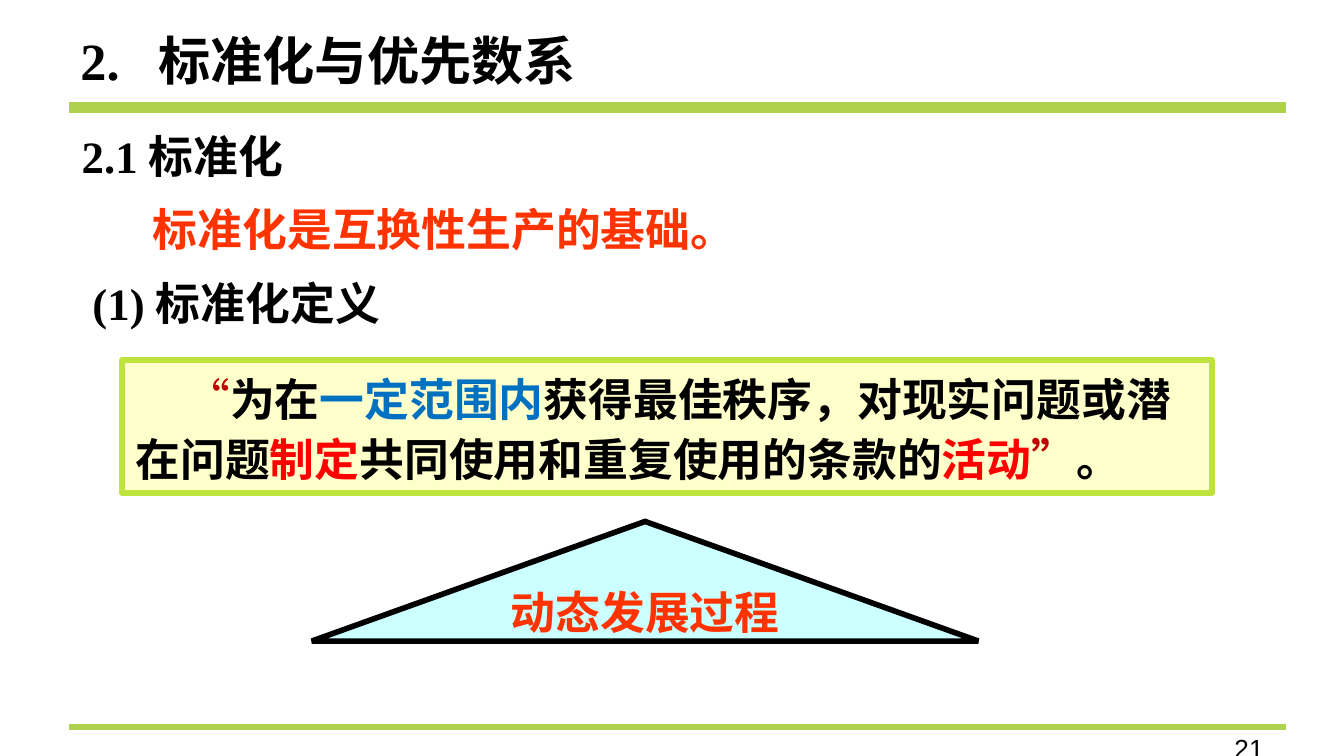
from dataclasses import dataclass

from lxml import etree
from pptx import Presentation
from pptx import util as u
from pptx.dml.color import RGBColor
from pptx.enum import shapes, text
from pptx.oxml.ns import qn

BLACK, GREEN, ORANGE, RED, DARK_RED, BLUE = (
    "000000", "AFD24E", "FF3300", "FF0000", "C00000", "0070C0")
SERIF = "Times New Roman"


@dataclass(frozen=True)
class Span:
    words: str
    color: str = BLACK
    bold: bool = True


@dataclass(frozen=True)
class Block:
    left: float
    top: float
    width: float
    height: float
    spans: tuple[Span, ...]
    size: int = 24
    font: str = SERIF
    align: text.PP_ALIGN = text.PP_ALIGN.LEFT
    anchor: text.MSO_ANCHOR = text.MSO_ANCHOR.TOP
    wrap: bool = True
    grow: bool = True
    indent: float = 0
    tab: float = 0
    spacing: float = 1.0
    preset: shapes.MSO_SHAPE | None = None
    fill: str = ""
    line: str = ""
    miter: bool = False


@dataclass(frozen=True)
class Rule:
    y: float
    weight: float


RULES = (Rule(0.8, 6), Rule(5.41, 3))

BLOCKS = (
    Block(7.91, 5.4, 1.59, 0.23, (Span("21", bold=False),), size=14,
          font="Arial", align=text.PP_ALIGN.RIGHT, grow=False),
    Block(0.5, 0.16, 5.75, 0.57, (Span("2.\t标准化与优先数系"),), size=28, tab=0.58),
    Block(0.51, 0.91, 4.4, 0.5, (Span("2.1 标准化"),)),
    Block(0.51, 1.45, 6.23, 0.5, (Span("标准化是互换性生产的基础。", ORANGE),),
          align=text.PP_ALIGN.JUSTIFY, indent=0.53),
    Block(0.59, 2, 8.03, 0.5, (Span("(1) 标准化定义"),), align=text.PP_ALIGN.JUSTIFY),
    Block(2.32, 3.88, 4.96, 0.89, (Span("动态发展过程", ORANGE),),
          align=text.PP_ALIGN.CENTER, anchor=text.MSO_ANCHOR.MIDDLE,
          wrap=False, grow=False, preset=shapes.MSO_SHAPE.ISOSCELES_TRIANGLE,
          fill="CCFFFF", line=BLACK, miter=True),
    Block(0.91, 2.68, 8.11, 0.99, (
        Span("“", DARK_RED, bold=False),
        Span("为在"),
        Span("一定范围内", BLUE),
        Span("获得最佳秩序，对现实问题或潜在问题"),
        Span("制定", RED),
        Span("共同使用和重复使用的条款的"),
        Span("活动", RED),
        Span("”", DARK_RED),
        Span("。"),
    ), indent=0.37, spacing=1.1, preset=shapes.MSO_SHAPE.RECTANGLE,
        fill="FFFFCC", line="BFE33D"),
)


def paint(color_format, color: str) -> None:
    """Give a font colour, fill or line its hex colour."""
    color_format.rgb = RGBColor.from_string(color)


def draw_rule(page, rule: Rule) -> None:
    """Draw a full-width green rule."""
    y = u.Inches(rule.y)
    connector = page.shapes.add_connector(
        shapes.MSO_CONNECTOR.STRAIGHT, u.Inches(0.51), y, u.Inches(9.57), y)
    paint(connector.line.color, GREEN)
    connector.line.width = u.Pt(rule.weight)
    etree.SubElement(connector._element.spPr, qn("a:effectLst"))


def add_box(page, block: Block):
    """Add the text box or filled shape that holds a block."""
    place = [u.Inches(n) for n in (block.left, block.top, block.width, block.height)]
    if block.preset is None:
        return page.shapes.add_textbox(*place)
    box = page.shapes.add_shape(block.preset, *place)
    box.shadow.inherit = False
    box.fill.solid()
    paint(box.fill.fore_color, block.fill)
    paint(box.line.color, block.line)
    box.line.width = u.Pt(3)
    if block.miter:
        outline = box._element.spPr.find(qn("a:ln"))
        etree.SubElement(outline, qn("a:miter"), lim="800000")
    return box


def draw_block(page, block: Block) -> None:
    """Draw a block with its paragraph of coloured spans."""
    frame = add_box(page, block).text_frame
    frame.word_wrap = block.wrap
    frame.vertical_anchor = block.anchor
    if block.grow:
        frame.auto_size = text.MSO_AUTO_SIZE.SHAPE_TO_FIT_TEXT
    para = frame.paragraphs[0]
    para.alignment = block.align
    para.line_spacing = block.spacing
    properties = para._p.get_or_add_pPr()
    if block.indent:
        properties.set("indent", str(u.Inches(block.indent)))
    if block.tab:
        tabs = etree.SubElement(properties, qn("a:tabLst"))
        etree.SubElement(tabs, qn("a:tab"), pos=str(u.Inches(block.tab)), algn="l")
    for span in block.spans:
        run = para.add_run()
        run.text = span.words
        run.font.name = block.font
        run.font.size = u.Pt(block.size)
        run.font.bold = span.bold
        paint(run.font.color, span.color)


def main() -> None:
    """Build and save the standardization slide."""
    deck = Presentation()
    deck.slide_width, deck.slide_height = u.Inches(10), u.Inches(5.625)
    page = deck.slides.add_slide(deck.slide_layouts[6])
    for rule in RULES:
        draw_rule(page, rule)
    for block in BLOCKS:
        draw_block(page, block)
    deck.save("out.pptx")


if __name__ == "__main__":
    main()
